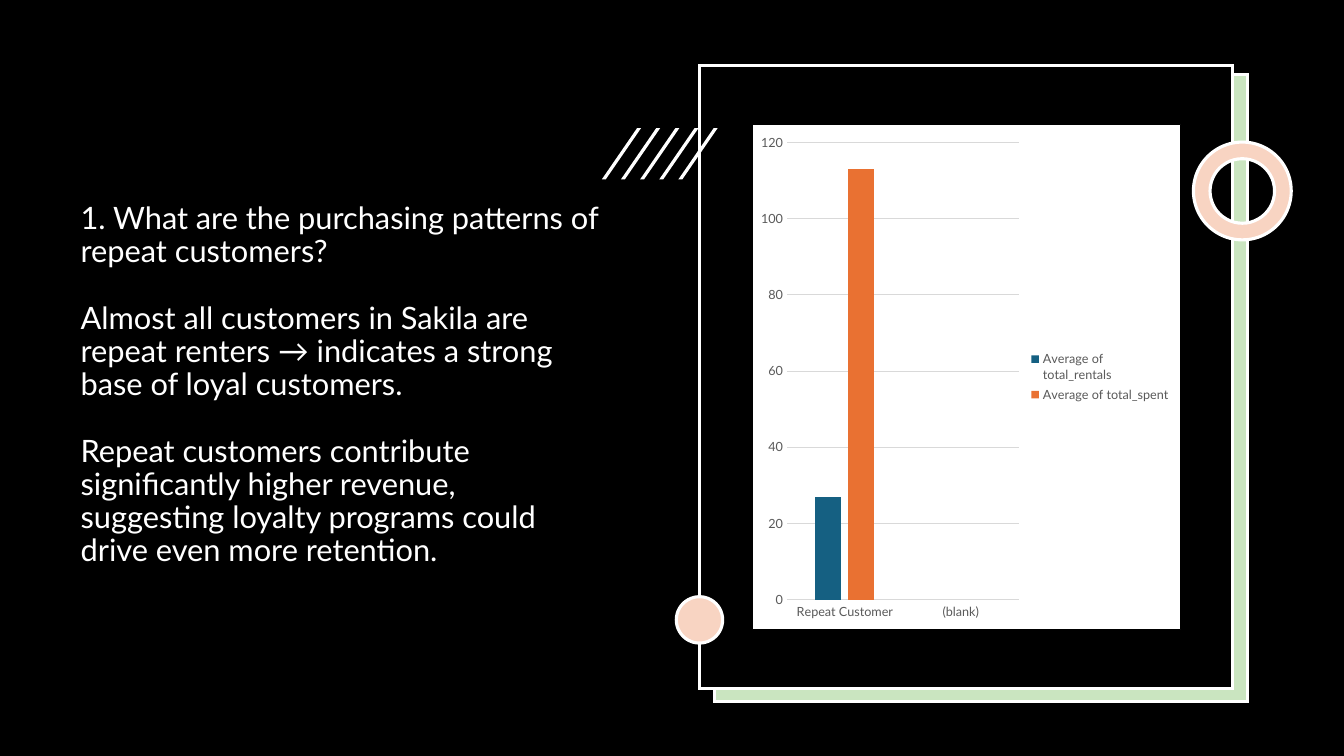
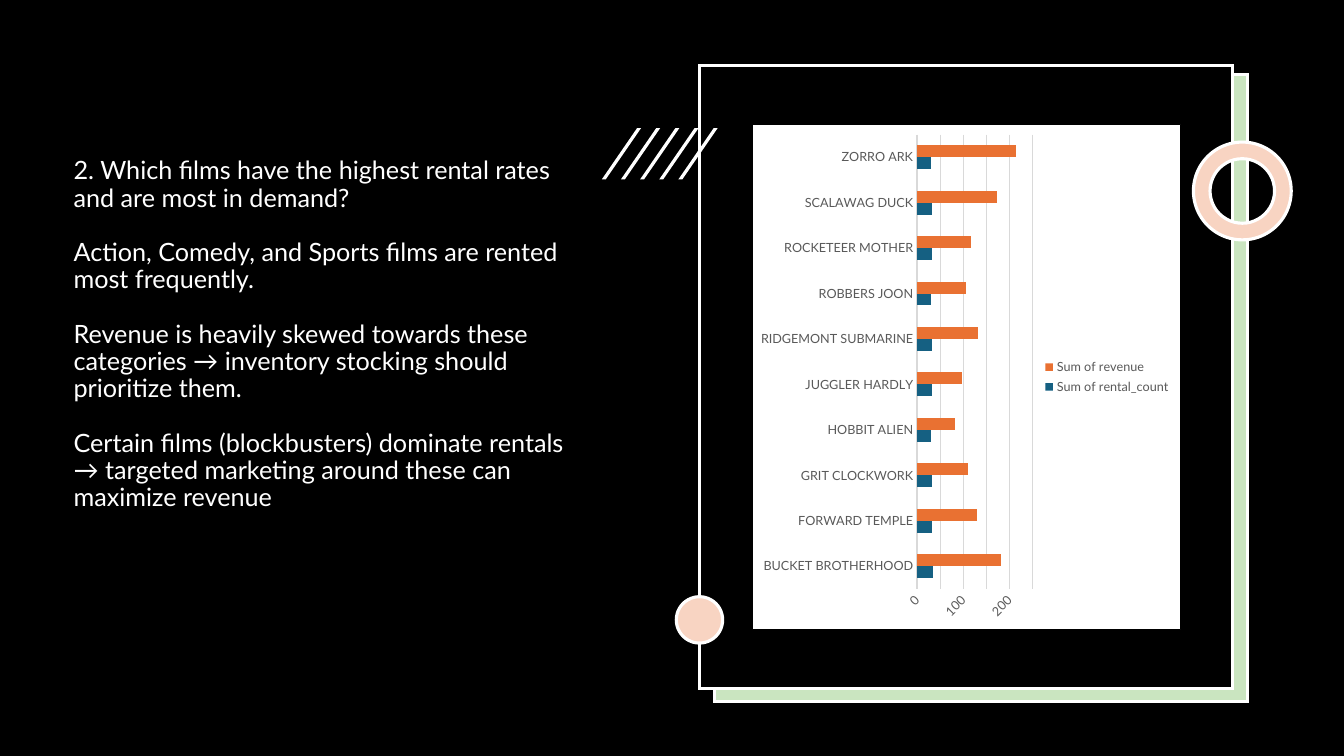
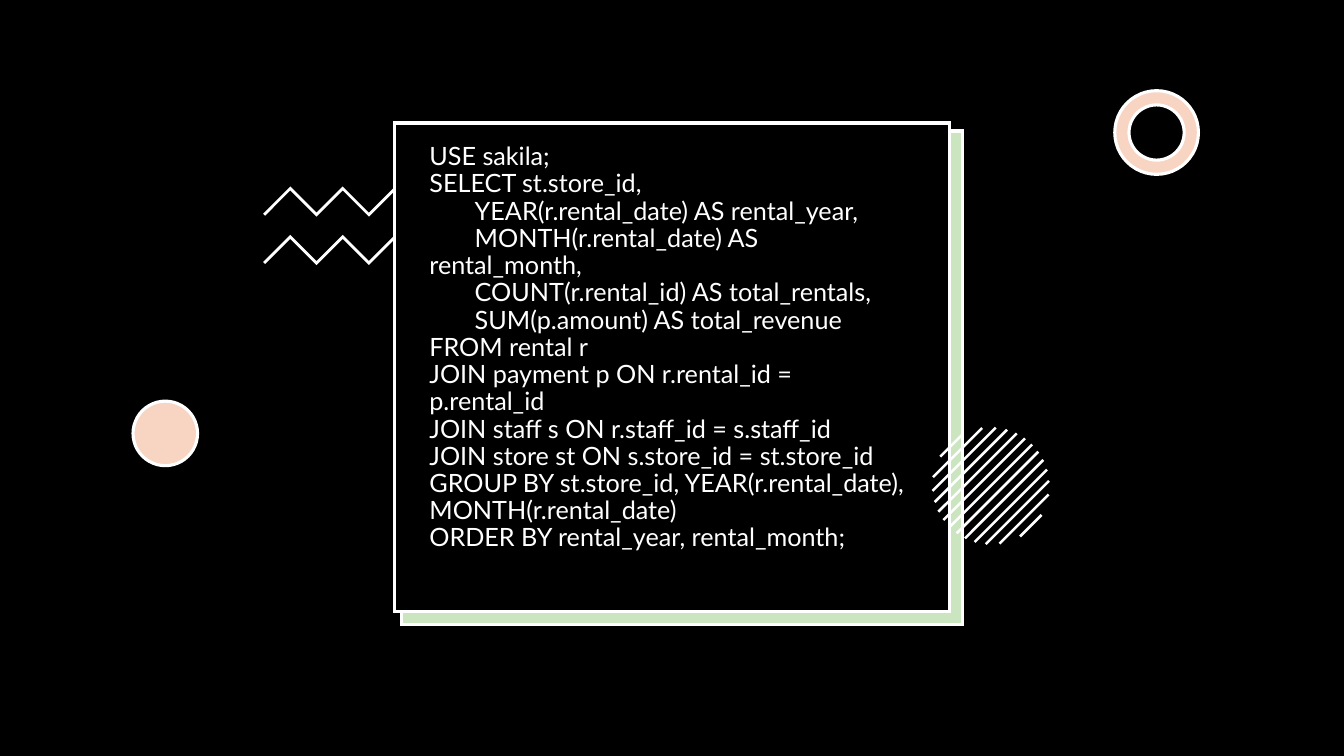
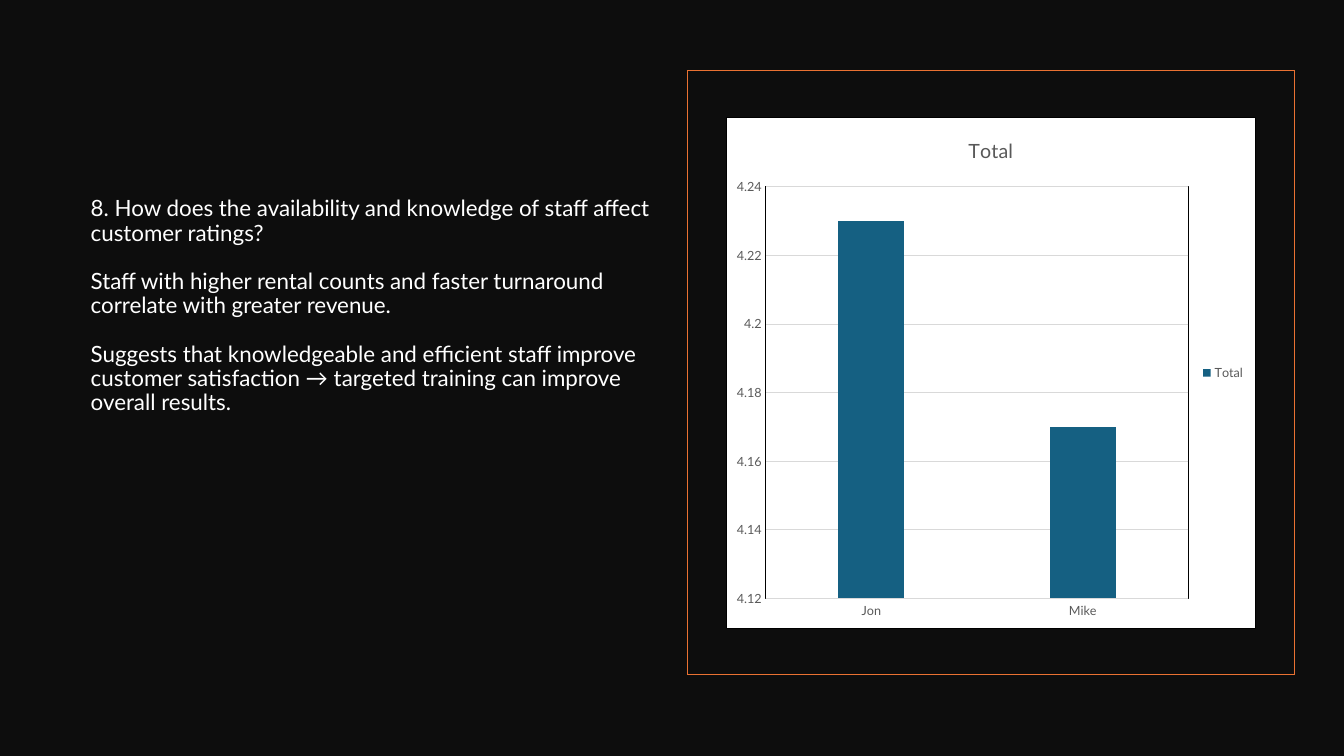
from dataclasses import dataclass
from math import sqrt
from typing import NamedTuple, Optional

from lxml import etree
from pptx import Presentation
from pptx.chart.chart import Chart
from pptx.chart.data import CategoryChartData
from pptx.dml.color import RGBColor
from pptx.enum.chart import XL_CHART_TYPE as ChartType, XL_LEGEND_POSITION as LegendPos
from pptx.enum.chart import XL_TICK_MARK as TickMark
from pptx.enum.shapes import MSO_CONNECTOR as Connector, MSO_SHAPE as Preset
from pptx.enum.text import MSO_ANCHOR as Anchor, MSO_AUTO_SIZE as AutoSize, PP_ALIGN as Align
from pptx.oxml import parse_xml
from pptx.oxml.ns import nsdecls, qn
from pptx.shapes.autoshape import Shape
from pptx.slide import Slide
from pptx.util import Inches, Pt

FONT = "Lato"
BLACK, CHARCOAL, WHITE = "000000", "0D0D0D", "FFFFFF"
GREEN, PEACH = "CAE5C0", "F8D4C2"
BLUE, ORANGE = "156082", "E97132"
GRAY, GRID = "595959", "D9D9D9"
OUTLINE = 2.25
TITLE_ONLY = 5
SLIDE_W, SLIDE_H = 40 / 3, 7.5


class Box(NamedTuple):
    x: float
    y: float
    w: float
    h: float

    def emu(self) -> tuple:
        return tuple(Inches(v) for v in self)


class Series(NamedTuple):
    name: str
    values: tuple
    color: str


class Scale(NamedTuple):
    low: float
    high: float
    step: float


@dataclass
class ChartSpec:
    box: Box
    kind: ChartType
    categories: tuple
    series: tuple
    scale: Scale
    gap: int = 219
    overlap: int = -27
    title: Optional[str] = None
    label_angle: int = 0
    plot_border: bool = False


@dataclass
class Question:
    """A slide with findings on the left and a framed chart on the right."""
    title_box: Box
    size: int
    paragraphs: tuple
    chart: ChartSpec
    decorated: bool = True


QUESTIONS_BEFORE_QUERY = (
    Question(
        Box(0.7, 1.79, 5.35, 3.9), 22,
        ("1. What are the purchasing patterns of repeat customers?",
         "Almost all customers in Sakila are repeat renters → indicates a strong base of loyal customers.",
         "Repeat customers contribute significantly higher revenue, suggesting loyalty programs "
         "could drive even more retention."),
        ChartSpec(
            Box(7.46, 1.23, 4.26, 5.02), ChartType.COLUMN_CLUSTERED,
            ("Repeat Customer", "(blank)"),
            (Series("Average of total_rentals", (27, None), BLUE),
             Series("Average of total_spent", (113, None), ORANGE)),
            Scale(0, 120, 20))),
    Question(
        Box(0.63, 1.23, 5.35, 3.9), 18,
        ("2. Which films have the highest rental rates and are most in demand?",
         "Action, Comedy, and Sports films are rented most frequently.",
         "Revenue is heavily skewed towards these categories → inventory stocking should prioritize them.",
         "Certain films (blockbusters) dominate rentals → targeted marketing around these "
         "can maximize revenue"),
        ChartSpec(
            Box(7.46, 1.23, 4.26, 5.02), ChartType.BAR_CLUSTERED,
            ("BUCKET BROTHERHOOD", "FORWARD TEMPLE", "GRIT CLOCKWORK", "HOBBIT ALIEN",
             "JUGGLER HARDLY", "RIDGEMONT SUBMARINE", "ROBBERS JOON", "ROCKETEER MOTHER",
             "SCALAWAG DUCK", "ZORRO ARK"),
            (Series("Sum of rental_count", (34, 32, 32, 31, 32, 32, 31, 33, 32, 31), BLUE),
             Series("Sum of revenue", (181, 129, 111, 82, 97, 131, 106, 117, 173, 215), ORANGE)),
            Scale(0, 250, 50), gap=182, overlap=0, label_angle=-45)),
)

STAFF_QUESTION = Question(
    Box(0.8, 1.56, 5.87, 2.61), 16,
    ("8. How does the availability and knowledge of staff affect customer ratings?",
     "Staff with higher rental counts and faster turnaround correlate with greater revenue.",
     "Suggests that knowledgeable and efficient staff improve customer satisfaction → "
     "targeted training can improve overall results."),
    ChartSpec(
        Box(7.2, 1.16, 5.26, 5.08), ChartType.COLUMN_CLUSTERED, ("Jon", "Mike"),
        (Series("Total", (4.23, 4.17), BLUE),),
        Scale(4.12, 4.24, 0.02), title="Total", plot_border=True),
    decorated=False)

# A leading tab marks an indented line of the query.
QUERY = (
    "USE sakila;",
    "SELECT st.store_id,",
    "\tYEAR(r.rental_date) AS rental_year,",
    "\tMONTH(r.rental_date) AS rental_month,",
    "\tCOUNT(r.rental_id) AS total_rentals,",
    "\tSUM(p.amount) AS total_revenue",
    "FROM rental r",
    "JOIN payment p ON r.rental_id = p.rental_id",
    "JOIN staff s ON r.staff_id = s.staff_id",
    "JOIN store st ON s.store_id = st.store_id",
    "GROUP BY st.store_id, YEAR(r.rental_date), MONTH(r.rental_date)",
    "ORDER BY rental_year, rental_month;",
)


def rgb(color: str) -> RGBColor:
    return RGBColor.from_string(color)


def set_font(font, size: float, color: str) -> None:
    font.name, font.size, font.bold = FONT, Pt(size), False
    font.color.rgb = rgb(color)


def set_line(line, color: Optional[str], width: float = OUTLINE) -> None:
    if color is None:
        line.fill.background()
    else:
        line.color.rgb = rgb(color)
        line.width = Pt(width)


def paint(sp: Shape, fill: Optional[str], line: Optional[str], width: float = OUTLINE) -> None:
    """Set fill and outline, with square corners on the outline."""
    sp.shadow.inherit = False
    if fill is None:
        sp.fill.background()
    else:
        sp.fill.solid()
        sp.fill.fore_color.rgb = rgb(fill)
    set_line(sp.line, line, width)
    if line:
        etree.SubElement(sp.element.spPr.find(qn("a:ln")), qn("a:miter"), lim="800000")


def add_preset(s: Slide, kind: Preset, box: Box, fill: Optional[str],
               line: Optional[str] = WHITE, width: float = OUTLINE) -> Shape:
    sp = s.shapes.add_shape(kind, *box.emu())
    paint(sp, fill, line, width)
    return sp


def new_slide(prs: Presentation, background: str) -> Slide:
    s = prs.slides.add_slide(prs.slide_layouts[TITLE_ONLY])
    add_preset(s, Preset.RECTANGLE, Box(0, 0, SLIDE_W, SLIDE_H), background, None)
    return s


def add_title(s: Slide, box: Box, lines: tuple, size: int, gap: float = 0) -> None:
    """Fill the title placeholder and bring it to the front."""
    title = s.shapes.title
    title.left, title.top, title.width, title.height = box.emu()
    tf = title.text_frame
    tf.word_wrap, tf.auto_size, tf.vertical_anchor = True, AutoSize.NONE, Anchor.BOTTOM
    for i, line in enumerate(lines):
        p = tf.paragraphs[0] if i == 0 else tf.add_paragraph()
        p.alignment, p.line_spacing = Align.LEFT, 0.9
        p.space_before = Pt(gap if i else 0)
        if line.startswith("\t"):
            p_pr = p._p.get_or_add_pPr()
            p_pr.set("marL", "0")
            p_pr.set("indent", str(Inches(0.45)))
        r = p.add_run()
        r.text = line.strip()
        set_font(r.font, size, WHITE)
    title.element.getparent().append(title.element)


def add_panel(s: Slide, front: Box, back: Box) -> None:
    add_preset(s, Preset.RECTANGLE, back, GREEN)
    add_preset(s, Preset.RECTANGLE, front, BLACK)


def add_ring(s: Slide, x: float, y: float, size: float) -> None:
    ring = add_preset(s, Preset.DONUT, Box(x, y, size, size), PEACH)
    ring.adjustments[0] = 0.17


def add_dot(s: Slide, x: float, y: float, size: float) -> None:
    add_preset(s, Preset.OVAL, Box(x, y, size, size), PEACH)


def add_slashes(s: Slide) -> None:
    for i in range(5):
        slash = add_preset(s, Preset.PARALLELOGRAM, Box(5.97 + 0.19 * i, 1.27, 0.39, 0.51), WHITE, None)
        slash.adjustments[0] = 0.9


def add_zigzag(s: Slide, left: float, top: float) -> None:
    step = 0.26
    points = [(Inches(left + step * i), Inches(top + step * (1 - i % 2))) for i in range(9)]
    builder = s.shapes.build_freeform(*points[0])
    builder.add_line_segments(points[1:], close=False)
    paint(builder.convert_to_shape(), None, WHITE, 2)


def add_striped_circle(s: Slide, cx: float, cy: float, radius: float) -> None:
    """Draw thirteen evenly spaced diagonal chords of a circle."""
    for i in range(-6, 7):
        shift = 0.066 * i
        half = sqrt(radius ** 2 / 2 - shift ** 2)
        x, y = cx + shift, cy + shift
        ends = (x - half, y + half, x + half, y - half)
        stripe = s.shapes.add_connector(Connector.STRAIGHT, *(Inches(v) for v in ends))
        set_line(stripe.line, WHITE, 1.8)
        etree.SubElement(stripe.element.spPr, qn("a:effectLst"))


def area_format(fill: Optional[str], border: str):
    """Build the fill and border element of a chart or plot area."""
    inner = f'<a:solidFill><a:srgbClr val="{fill}"/></a:solidFill>' if fill else "<a:noFill/>"
    return parse_xml(
        f'<c:spPr {nsdecls("c", "a")}>{inner}<a:ln w="{Pt(0.75)}"><a:solidFill>'
        f'<a:srgbClr val="{border}"/></a:solidFill></a:ln></c:spPr>')


def format_axes(chart: Chart, spec: ChartSpec) -> None:
    cat, val = chart.category_axis, chart.value_axis
    for axis in (cat, val):
        axis.major_tick_mark = axis.minor_tick_mark = TickMark.NONE
        set_font(axis.tick_labels.font, 9, GRAY)
    set_line(cat.format.line, GRID, 0.75)
    set_line(val.format.line, None)
    val.has_major_gridlines = True
    set_line(val.major_gridlines.format.line, GRID, 0.75)
    val.minimum_scale, val.maximum_scale, val.major_unit = spec.scale
    if spec.label_angle:
        body = val.tick_labels.font._element.getparent().getparent().getparent().find(qn("a:bodyPr"))
        body.set("rot", str(spec.label_angle * 60000))
        body.set("vert", "horz")


def add_chart(s: Slide, spec: ChartSpec) -> None:
    data = CategoryChartData()
    data.categories = spec.categories
    for series in spec.series:
        data.add_series(series.name, series.values)
    chart = s.shapes.add_chart(spec.kind, *spec.box.emu(), data).chart
    set_font(chart.font, 10, BLACK)
    chart.has_title = spec.title is not None
    if spec.title:
        r = chart.chart_title.text_frame.paragraphs[0].add_run()
        r.text = spec.title
        set_font(r.font, 14, GRAY)
    chart.has_legend = True
    chart.legend.position = LegendPos.RIGHT
    chart.legend.include_in_layout = False
    set_font(chart.legend.font, 9, GRAY)
    format_axes(chart, spec)

    plot = chart.plots[0]
    plot.vary_by_categories = False
    plot.gap_width, plot.overlap = spec.gap, spec.overlap
    for bars, series in zip(plot.series, spec.series):
        bars.format.fill.solid()
        bars.format.fill.fore_color.rgb = rgb(series.color)

    chart_el = chart.element.find(qn("c:chart"))
    chart_el.addnext(area_format(WHITE, BLACK))
    if spec.plot_border:
        chart_el.find(qn("c:plotArea")).append(area_format(None, BLACK))


def add_question(prs: Presentation, question: Question) -> None:
    s = new_slide(prs, BLACK if question.decorated else CHARCOAL)
    if question.decorated:
        add_panel(s, Box(6.94, 0.65, 5.29, 6.18), Box(7.09, 0.74, 5.29, 6.22))
        add_slashes(s)
        add_ring(s, 11.84, 1.41, 0.97)
        add_dot(s, 6.71, 5.92, 0.46)
    else:
        add_preset(s, Preset.RECTANGLE, Box(6.82, 0.7, 6.02, 5.99), None, ORANGE, 1)
    add_title(s, question.title_box, question.paragraphs, question.size, gap=1.08 * question.size)
    add_chart(s, question.chart)


def add_query(prs: Presentation) -> None:
    s = new_slide(prs, BLACK)
    for top in (1.87, 2.35):
        add_zigzag(s, 2.62, top)
    add_panel(s, Box(3.91, 1.22, 5.51, 4.85), Box(3.98, 1.3, 5.57, 4.9))
    add_title(s, Box(4.16, 1.1, 4.92, 4.43), QUERY, 18)
    add_ring(s, 11.06, 0.9, 0.83)
    add_dot(s, 1.32, 3.98, 0.64)
    add_striped_circle(s, 9.83, 4.82, 0.58)


def main() -> None:
    prs = Presentation()
    prs.slide_width, prs.slide_height = Inches(SLIDE_W), Inches(SLIDE_H)
    for question in QUESTIONS_BEFORE_QUERY:
        add_question(prs, question)
    add_query(prs)
    add_question(prs, STAFF_QUESTION)
    prs.save("out.pptx")


if __name__ == "__main__":
    main()
